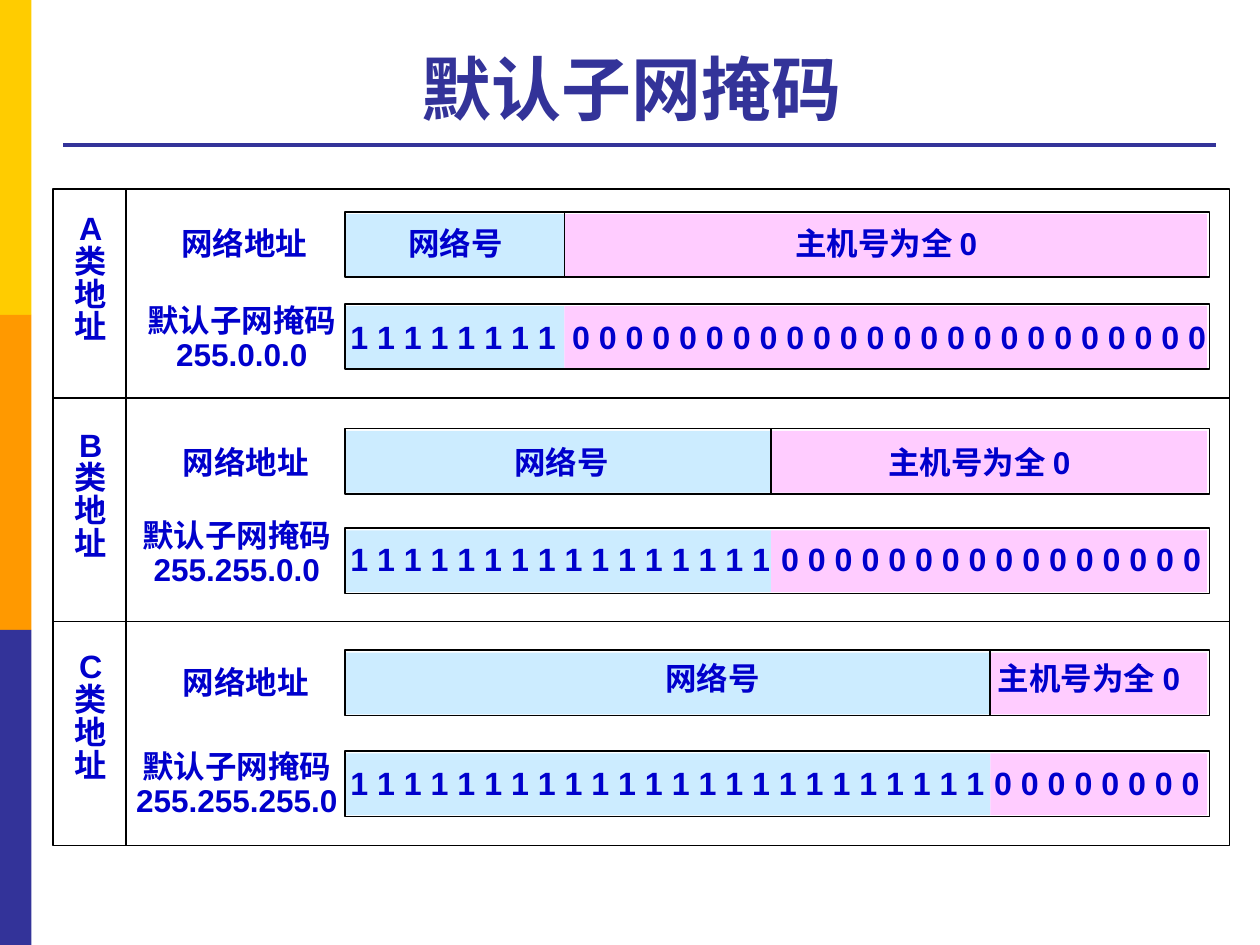
from dataclasses import dataclass

from lxml import etree
from pptx import Presentation
from pptx.dml.color import RGBColor
from pptx.enum import shapes, text
from pptx.oxml import ns
from pptx.util import Inches, Pt

TITLE = "默认子网掩码 "
NETWORK, HOST = "网络号", "主机号为全 0"
ADDRESS_LABEL, MASK_LABEL = "网络地址", "默认子网掩码"
CLASSES = [
    dict(letter="A", mask="255.0.0.0", bits=8, split=4.48, address_top=1.68, mask_top=2.41,
         label_top=1.74, label_center=1.94, field_top=1.74, network_left=3.15, host_left=6.22,
         caption_top=2.38, caption_center=1.92, digits_top=2.48, zeros_left=4.45),
    dict(letter="B", mask="255.255.0.0", bits=16, split=6.12, address_top=3.4, mask_top=4.19,
         label_top=3.48, label_center=1.95, field_top=3.48, network_left=3.99, host_left=6.96,
         caption_top=4.09, caption_center=1.88, digits_top=4.24, zeros_left=6.11),
    dict(letter="C", mask="255.255.255.0", bits=24, split=7.86, address_top=5.16, mask_top=5.96,
         label_top=5.22, label_center=1.95, field_top=5.19, network_left=5.19, host_left=7.83,
         caption_top=5.92, caption_center=1.88, digits_top=6.02, zeros_left=7.8),
]
FRAME = (0.42, 1.5, 9.34, 5.21)
ROW_LINES = [3.16, 4.93]
LETTER_LINE = 1.0
BAR_LEFT, BAR_WIDTH, BAR_HEIGHT = 2.74, 6.86, 0.52
LABEL_WIDTH, CAPTION_WIDTH = 1.22, 1.84


@dataclass(frozen=True)
class Theme:
    """Colours, font and type sizes of the slide."""
    font: str = "Arial"
    stripes: tuple = ("FFCC00", "FF9900", "333399")
    accent: str = "333399"
    ink: str = "0000CC"
    line: str = "000000"
    network: str = "CCECFF"
    host: str = "FFCCFF"
    title_size: float = 40
    label_size: float = 18
    digit_size: float = 18.4


THEME = Theme()


def add_text(slide, content, box, size=THEME.label_size, color=THEME.ink, align=None,
             spacing=None, insets=(0.09, 0.04), wrap=False, anchor=text.MSO_ANCHOR.TOP):
    """Add a text box with one paragraph per line of content."""
    shape = slide.shapes.add_textbox(*map(Inches, box))
    frame = shape.text_frame
    frame.word_wrap = wrap
    frame.auto_size = text.MSO_AUTO_SIZE.NONE if wrap else text.MSO_AUTO_SIZE.SHAPE_TO_FIT_TEXT
    frame.vertical_anchor = anchor
    frame.margin_left = frame.margin_right = Inches(insets[0])
    frame.margin_top = frame.margin_bottom = Inches(insets[1])
    frame.text = content
    for paragraph in frame.paragraphs:
        paragraph.alignment = align
        paragraph.line_spacing = spacing
        for run in paragraph.runs:
            run.font.name = THEME.font
            run.font.size = Pt(size)
            run.font.bold = True
            run.font.color.rgb = RGBColor.from_string(color)


def add_box(slide, box, fill=None, line_width=None):
    """Add a rectangle that is filled, outlined or both."""
    shape = slide.shapes.add_shape(shapes.MSO_SHAPE.RECTANGLE, *map(Inches, box))
    shape.shadow.inherit = False
    if fill:
        shape.fill.solid()
        shape.fill.fore_color.rgb = RGBColor.from_string(fill)
    else:
        shape.fill.background()
    if line_width:
        shape.line.width = Pt(line_width)
        shape.line.color.rgb = RGBColor.from_string(THEME.line)
    else:
        shape.line.fill.background()


def add_line(slide, start, end, width=0.75, color=THEME.line):
    """Add a straight line without a shadow."""
    line = slide.shapes.add_connector(
        shapes.MSO_CONNECTOR.STRAIGHT, *map(Inches, (*start, *end)))
    line.line.width = Pt(width)
    line.line.color.rgb = RGBColor.from_string(color)
    etree.SubElement(line._element.spPr, ns.qn("a:effectLst"))


def add_bar(slide, top, split):
    """Add an outlined bar whose network and host parts meet at split."""
    right = BAR_LEFT + BAR_WIDTH
    add_box(slide, (BAR_LEFT, top + 0.02, split - BAR_LEFT, 0.49), THEME.network)
    add_box(slide, (split, top + 0.02, right - split - 0.02, 0.49), THEME.host)
    add_box(slide, (BAR_LEFT, top, BAR_WIDTH, BAR_HEIGHT), line_width=1)


def add_digits(slide, digit, count, left, top):
    """Add a spaced row of one repeated binary digit."""
    box = (left, top, 0.11 + 0.216 * count, 0.4)
    add_text(slide, " ".join(digit * count), box, size=THEME.digit_size)


def add_class(slide, item):
    """Add the letter, labels, address bar and mask bar of one class."""
    center = text.PP_ALIGN.CENTER
    top, split, bits = item["address_top"], item["split"], item["bits"]
    add_text(slide, "\n".join(item["letter"] + "类地址"), (0.49, top - 0.03, 0.46, 1.16),
             size=THEME.digit_size, align=center, spacing=0.85, insets=(0.1, 0.05))
    label_left = item["label_center"] - LABEL_WIDTH / 2
    add_text(slide, ADDRESS_LABEL, (label_left, item["label_top"], LABEL_WIDTH, 0.4),
             align=center)
    caption_left = item["caption_center"] - CAPTION_WIDTH / 2
    add_text(slide, f"{MASK_LABEL}\n{item['mask']}",
             (caption_left, item["caption_top"], CAPTION_WIDTH, 0.65),
             align=center, spacing=0.9)
    add_bar(slide, top, split)
    add_line(slide, (split, top), (split, top + BAR_HEIGHT), width=1)
    add_text(slide, NETWORK, (item["network_left"], item["field_top"], 0.96, 0.4))
    add_text(slide, HOST, (item["host_left"], item["field_top"], 1.7, 0.4))
    add_bar(slide, item["mask_top"], split)
    add_digits(slide, "1", bits, 2.69, item["digits_top"])
    add_digits(slide, "0", 32 - bits, item["zeros_left"], item["digits_top"])


def main():
    """Build the slide and save it."""
    presentation = Presentation()
    presentation.slide_width, presentation.slide_height = Inches(10), Inches(7.5)
    slide = presentation.slides.add_slide(presentation.slide_layouts[6])
    for index, color in enumerate(THEME.stripes):
        add_box(slide, (0, 2.5 * index, 0.25, 2.5), color)
    add_line(slide, (0.5, 1.15), (9.65, 1.15), width=2.25, color=THEME.accent)
    add_text(slide, TITLE, (0.5, 0.21, 9.15, 0.87), size=THEME.title_size, color=THEME.accent,
             align=text.PP_ALIGN.CENTER, insets=(0.09, 0.05), wrap=True,
             anchor=text.MSO_ANCHOR.BOTTOM)
    left, top, width, height = FRAME
    add_box(slide, FRAME, line_width=0.75)
    for item in CLASSES:
        add_class(slide, item)
    for y in ROW_LINES:
        add_line(slide, (left, y), (left + width, y))
    add_line(slide, (LETTER_LINE, top), (LETTER_LINE, top + height))
    presentation.save("out.pptx")


if __name__ == "__main__":
    main()
